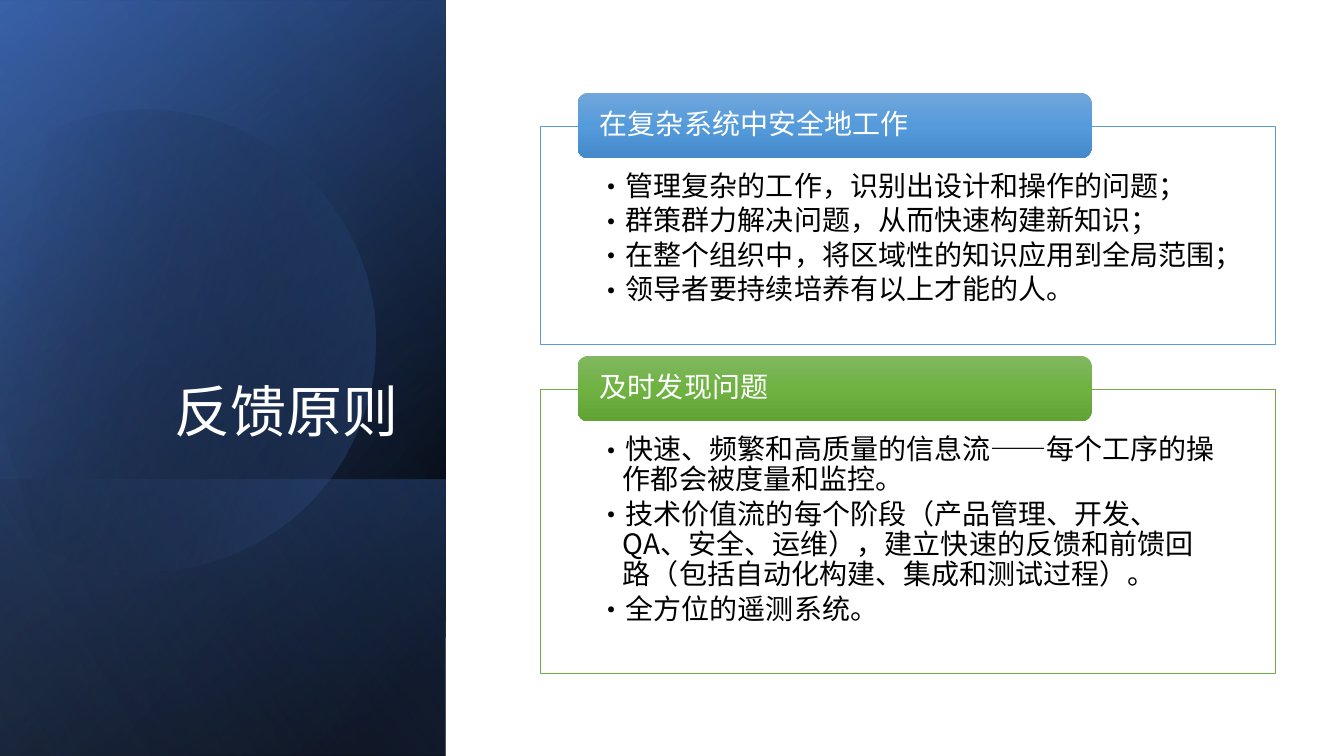
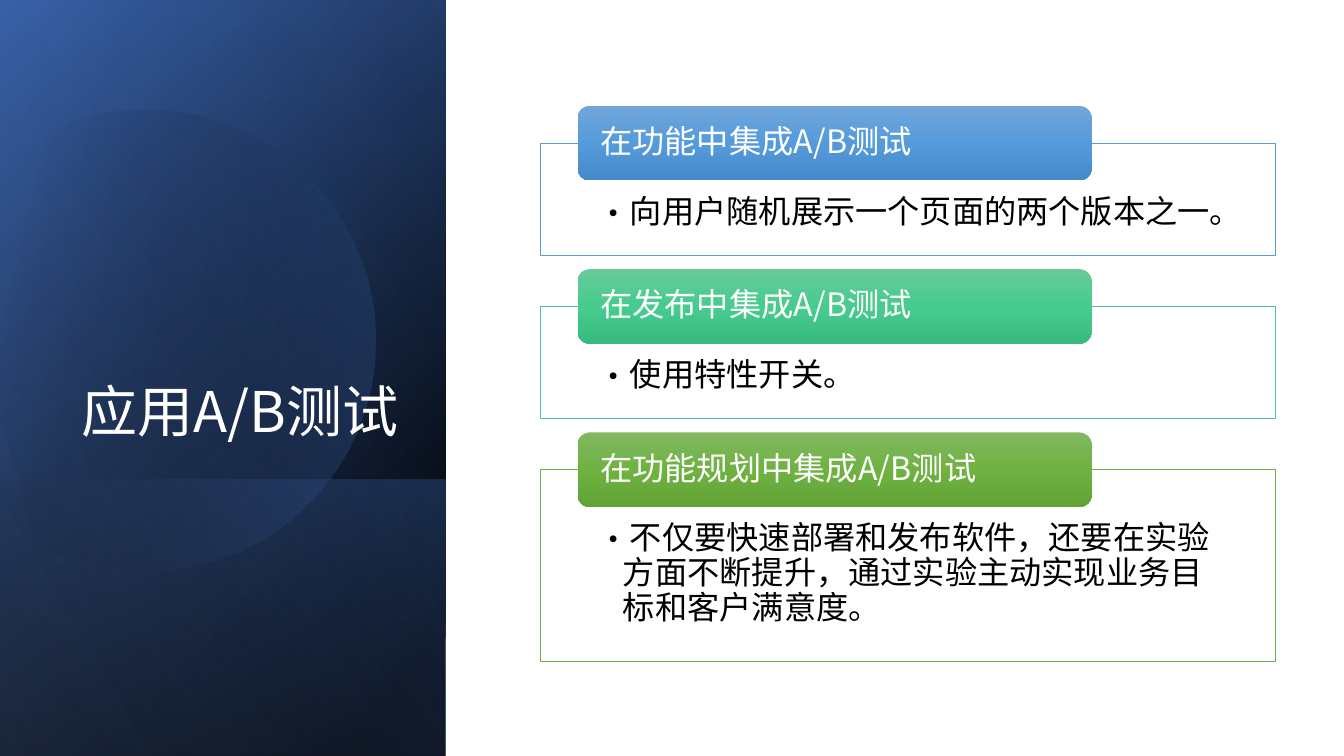
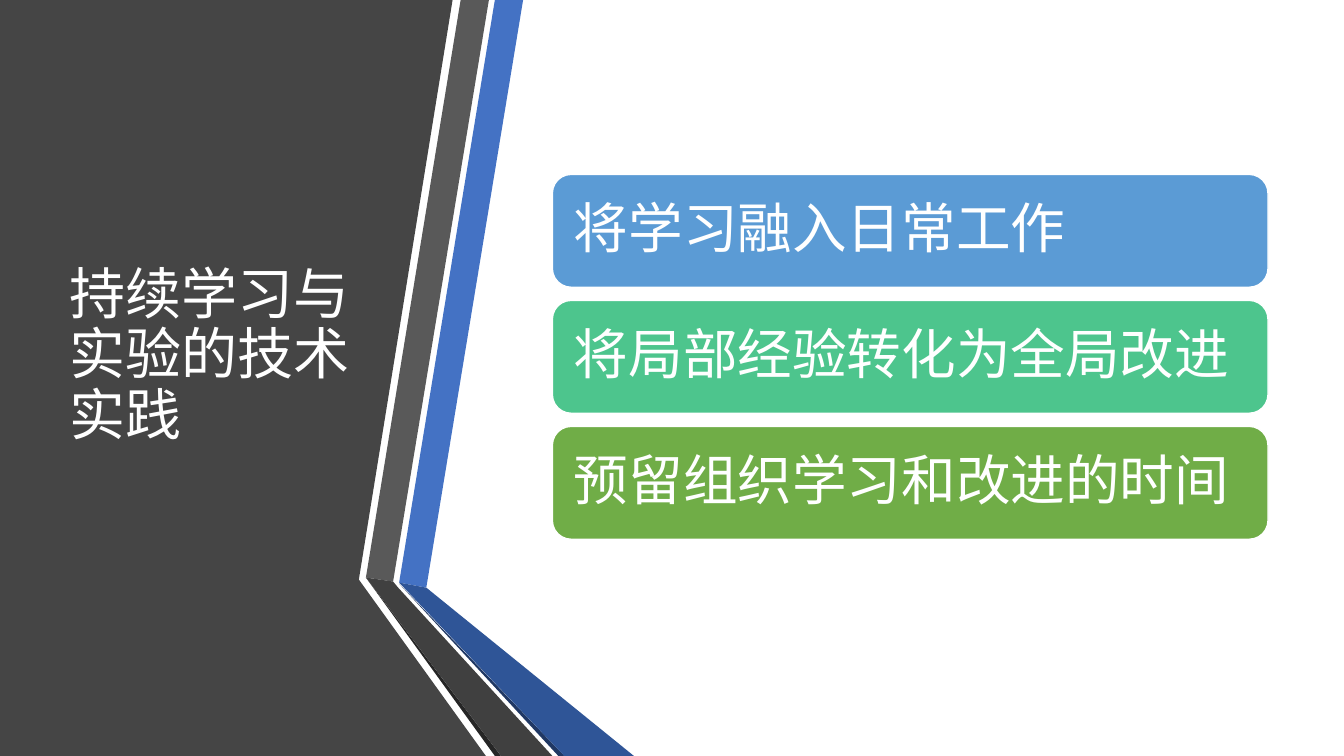
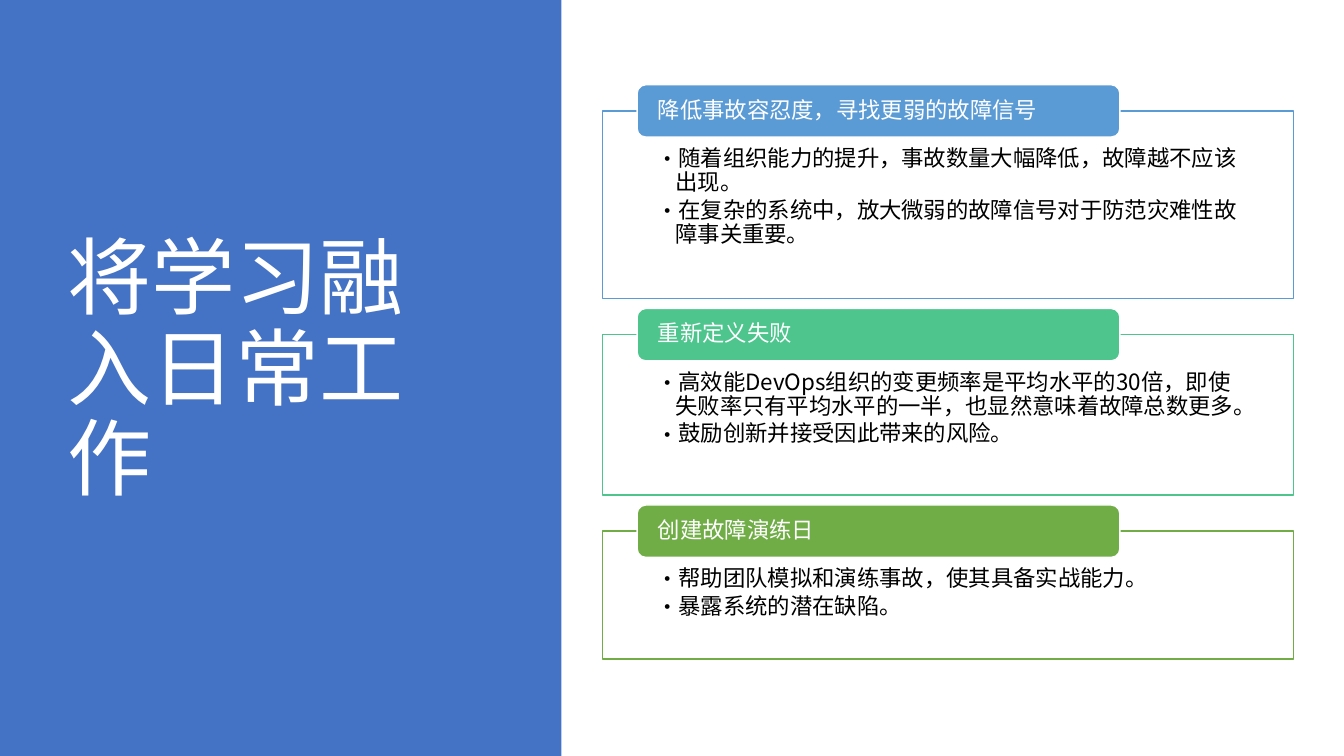
import lxml.etree
import pptx
import pptx.dml.color
import pptx.enum.shapes
import pptx.enum.text
import pptx.oxml.ns
import pptx.util

PX = 9144  # one px is a hundredth of an inch
FONT = "Noto Sans CJK SC"
RGB = pptx.dml.color.RGBColor
SHAPE = pptx.enum.shapes.MSO_SHAPE
ANCHOR = pptx.enum.text.MSO_ANCHOR
ALIGN = pptx.enum.text.PP_ALIGN
qn = pptx.oxml.ns.qn

WHITE = RGB(0xFF, 0xFF, 0xFF)
BLACK = RGB(0x00, 0x00, 0x00)
ROYAL = RGB(0x44, 0x72, 0xC4)
NAVY = RGB(0x2F, 0x55, 0x97)
DEEP_NAVY = RGB(0x20, 0x38, 0x64)
PALE_BLUE = RGB(0x8F, 0xAA, 0xDC)
CHARCOAL = RGB(0x45, 0x45, 0x45)
GRAY = RGB(0x59, 0x59, 0x59)
DARK_GRAY = RGB(0x40, 0x40, 0x40)
DEEP_GRAY = RGB(0x26, 0x26, 0x26)
BLUE = RGB(0x5B, 0x9B, 0xD5)
TEAL = RGB(0x4D, 0xC5, 0x8D)
GREEN = RGB(0x70, 0xAD, 0x47)
SHADES = {
    BLUE: (RGB(0x71, 0xA6, 0xDB), RGB(0x55, 0x9B, 0xDB), RGB(0x44, 0x8A, 0xCA)),
    TEAL: (RGB(0x67, 0xCC, 0x9A), RGB(0x47, 0xCB, 0x8E), RGB(0x39, 0xBB, 0x7F)),
    GREEN: (RGB(0x81, 0xB8, 0x61), RGB(0x6F, 0xB2, 0x42), RGB(0x62, 0xA3, 0x36)),
}


def paint(sp, fill, line=None, width=1, angle=90):
    """Fill with one colour, or with a list of (position, colour, opacity) stops."""
    sp.shadow.inherit = False
    if line is None:
        sp.line.fill.background()
    else:
        sp.line.color.rgb = line
        sp.line.width = pptx.util.Pt(width)
    if not isinstance(fill, list):
        sp.fill.solid()
        sp.fill.fore_color.rgb = fill
        return
    sp.fill.background()
    grad = lxml.etree.Element(qn("a:gradFill"), rotWithShape="1")
    stops = lxml.etree.SubElement(grad, qn("a:gsLst"))
    for pos, color, opacity in fill:
        gs = lxml.etree.SubElement(stops, qn("a:gs"), pos=str(pos * 1000))
        clr = lxml.etree.SubElement(gs, qn("a:srgbClr"), val=str(color))
        lxml.etree.SubElement(clr, qn("a:alpha"), val=str(opacity * 1000))
    lxml.etree.SubElement(grad, qn("a:lin"), ang=str(angle * 60000), scaled="0")
    sp_pr = sp.element.spPr
    sp_pr.replace(sp_pr.find(qn("a:noFill")), grad)


def write(sp, lines, size, color=WHITE, anchor=ANCHOR.MIDDLE, align=ALIGN.LEFT,
          insets=(10, 5, 10, 5), bullet_indent=0):
    tf = sp.text_frame
    tf.word_wrap = True
    tf.auto_size = pptx.enum.text.MSO_AUTO_SIZE.NONE
    tf.vertical_anchor = anchor
    tf.margin_left, tf.margin_top, tf.margin_right, tf.margin_bottom = (
        inset * PX for inset in insets)
    for i, line in enumerate(lines):
        p = tf.add_paragraph() if i else tf.paragraphs[0]
        p.text = line
        p_pr = p._p.get_or_add_pPr()
        if bullet_indent:
            p_pr.set("marL", str(bullet_indent * PX))
            p_pr.set("indent", str(-bullet_indent * PX))
            lxml.etree.SubElement(p_pr, qn("a:buFont"), typeface=FONT)
            lxml.etree.SubElement(p_pr, qn("a:buChar"), char="•")
            p.space_after = pptx.util.Pt(round(size * 0.15, 1))
        p.alignment = align
        p.line_spacing = 0.9
        p.font.size = pptx.util.Pt(size)
        p.font.color.rgb = color
        p.font.name = FONT
        lxml.etree.SubElement(p_pr.find(qn("a:defRPr")), qn("a:ea"), typeface=FONT)


prs = pptx.Presentation()
prs.slide_width, prs.slide_height = pptx.util.Inches(13.333), pptx.util.Inches(7.5)
feedback, ab_test, practices, daily = (
    prs.slides.add_slide(prs.slide_layouts[5]) for _ in range(4))

# Gradient side panel: turned rectangles and a cut disc
PANEL_LAYERS = [
    (SHAPE.RECTANGLE, (-154, 154, 750, 442), 50, [(8, BLACK, 100), (100, NAVY, 100)]),
    (SHAPE.RECTANGLE, (-154, 155, 750, 442), 30, [(0, BLACK, 0), (99, ROYAL, 46)]),
    (SHAPE.RECTANGLE, (84, 392, 274, 442), 130, [(2, ROYAL, 29), (100, BLACK, 30)]),
    (SHAPE.CHORD, (-86, 109, 458, 458), 30, [(29, BLACK, 0), (100, ROYAL, 43)]),
    (SHAPE.RECTANGLE, (-154, 154, 750, 442), 120, [(0, BLACK, 0), (99, PALE_BLUE, 11)]),
]
for s in (feedback, ab_test):
    for kind, box, angle, stops in PANEL_LAYERS:
        sp = s.shapes.add_shape(kind, *(v * PX for v in box))
        if kind == SHAPE.CHORD:
            sp.rotation = 343.9
            # arc from 226 to 134 degrees, in units of 5/3 degree
            sp.adjustments[0], sp.adjustments[1] = 135.6, 80.4
        else:
            sp.rotation = 90
            sp.element.spPr.find(qn("a:xfrm")).set("flipH", "1")
        paint(sp, stops, angle=angle)

# Folded ribbons beside a charcoal panel
RIBBONS = [
    (CHARCOAL, [(0, 0), (449, 0), (356, 575), (482, 750), (0, 750)]),
    (ROYAL, [(396, 578), (423, 583), (519, 0), (491, 0)]),
    (GRAY, [(485, 0), (457, 0), (363, 573), (390, 577)]),
    (DEEP_GRAY, [(363, 573), (491, 750), (497, 750)]),
    (DEEP_NAVY, [(396, 579), (554, 750), (560, 750)]),
    (NAVY, [(396, 578), (560, 750), (629, 750), (423, 583)]),
    (DARK_GRAY, [(548, 750), (395, 583), (390, 577), (363, 573), (497, 750)]),
]
for color, points in RIBBONS:
    fb = practices.shapes.build_freeform(*points[0], scale=PX)
    fb.add_line_segments(points[1:])
    paint(fb.convert_to_shape(), color)

paint(daily.shapes.add_shape(SHAPE.RECTANGLE, 0, 0, 557 * PX, 750 * PX), ROYAL)

TITLES = [
    (feedback, "反馈原则", (64, 184, 341, 262), 40, ANCHOR.BOTTOM, ALIGN.RIGHT),
    (ab_test, "应用A/B测试", (64, 184, 341, 262), 40, ANCHOR.BOTTOM, ALIGN.RIGHT),
    (practices, "持续学习与实验的技术实践", (59, 75, 304, 558), 40, ANCHOR.MIDDLE, ALIGN.LEFT),
    (daily, "将学习融入日常工作", (57, 68, 416, 602), 60, ANCHOR.MIDDLE, ALIGN.LEFT),
]
for s, text, box, size, anchor, align in TITLES:
    title = s.shapes.title
    title.left, title.top, title.width, title.height = (v * PX for v in box)
    write(title, [text], size, anchor=anchor, align=align)
    title.element.getparent().append(title.element)  # in front of the panel

# Bars of the practices slide
BARS = [(BLUE, "将学习融入日常工作"), (TEAL, "将局部经验转化为全局改进"),
        (GREEN, "预留组织学习和改进的时间")]
for i, (color, text) in enumerate(BARS):
    sp = practices.shapes.add_shape(
        SHAPE.ROUNDED_RECTANGLE, 548 * PX, (173 + 125 * i) * PX, 710 * PX, 112 * PX)
    paint(sp, color, WHITE)
    write(sp, [text], 39, insets=(16, 16, 16, 16))

# Cards: a framed list with a header over its top edge
WIDE = dict(left=536, width=729, tab_left=573, tab_width=510, tab_inset=19,
            side_inset=57, bullet_indent=25, line=0.5, shaded=True)
NARROW = dict(left=598, width=685, tab_left=632, tab_width=479, tab_inset=18,
              side_inset=53, bullet_indent=19, line=1, shaded=False)
CARD_SLIDES = [
    (feedback, WIDE, 92, 65, 11, 46, 20, [
        (BLUE, 217, "在复杂系统中安全地工作", [
            "管理复杂的工作，识别出设计和操作的问题；",
            "群策群力解决问题，从而快速构建新知识；",
            "在整个组织中，将区域性的知识应用到全局范围；",
            "领导者要持续培养有以上才能的人。"]),
        (GREEN, 282, "及时发现问题", [
            "快速、频繁和高质量的信息流——每个工序的操作都会被度量和监控。",
            "技术价值流的每个阶段（产品管理、开发、QA、安全、运维），建立快速的反馈和前馈回路"
            "（包括自动化构建、集成和测试过程）。",
            "全方位的遥测系统。"]),
    ]),
    (ab_test, WIDE, 105, 74, 14, 52, 23, [
        (BLUE, 111, "在功能中集成A/B测试", ["向用户随机展示一个页面的两个版本之一。"]),
        (TEAL, 111, "在发布中集成A/B测试", ["使用特性开关。"]),
        (GREEN, 190, "在功能规划中集成A/B测试", [
            "不仅要快速部署和发布软件，还要在实验方面不断提升，通过实验主动实现业务目标和客户满意度。"]),
    ]),
    (daily, NARROW, 84, 52, 10, 36, 16, [
        (BLUE, 186, "降低事故容忍度，寻找更弱的故障信号", [
            "随着组织能力的提升，事故数量大幅降低，故障越不应该出现。",
            "在复杂的系统中，放大微弱的故障信号对于防范灾难性故障事关重要。"]),
        (TEAL, 159, "重新定义失败", [
            "高效能DevOps组织的变更频率是平均水平的30倍，即使失败率只有平均水平的一半，"
            "也显然意味着故障总数更多。",
            "鼓励创新并接受因此带来的风险。"]),
        (GREEN, 127, "创建故障演练日", [
            "帮助团队模拟和演练事故，使其具备实战能力。",
            "暴露系统的潜在缺陷。"]),
    ]),
]
for s, style, top, tab_height, gap, top_inset, size, cards in CARD_SLIDES:
    for color, height, heading, lines in cards:
        frame_top = top + (tab_height + 1) // 2
        frame = s.shapes.add_shape(SHAPE.RECTANGLE, style["left"] * PX, frame_top * PX,
                                   style["width"] * PX, height * PX)
        paint(frame, WHITE, color, style["line"])
        side = style["side_inset"]
        write(frame, lines, size, BLACK, ANCHOR.TOP, insets=(side, top_inset, side, 12),
              bullet_indent=style["bullet_indent"])
        tab = s.shapes.add_shape(SHAPE.ROUNDED_RECTANGLE, style["tab_left"] * PX, top * PX,
                                 style["tab_width"] * PX, tab_height * PX)
        if style["shaded"]:
            paint(tab, [(50 * i, shade, 100) for i, shade in enumerate(SHADES[color])])
        else:
            paint(tab, color, WHITE)
        write(tab, [heading], size, insets=(style["tab_inset"], 0, style["tab_inset"], 0))
        top = frame_top + height + gap

prs.save("out.pptx")
